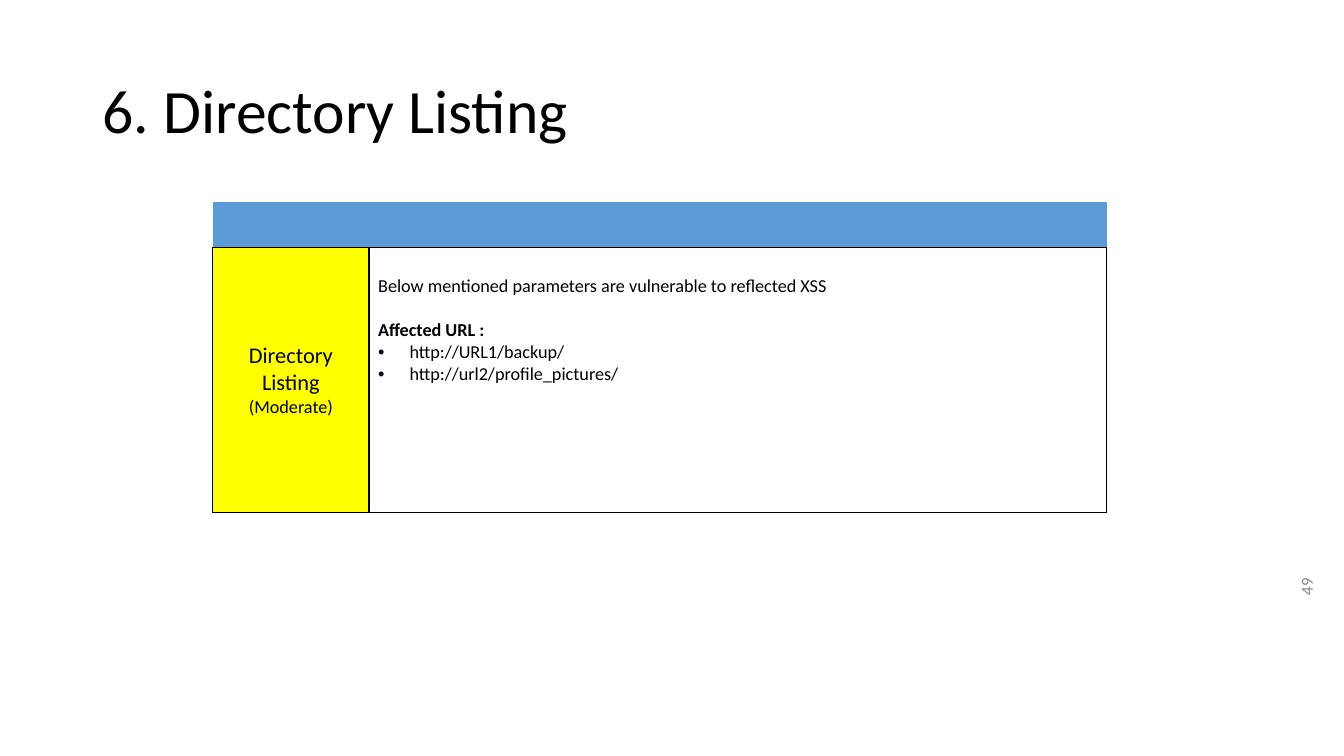
from lxml import etree
from pptx import Presentation
from pptx.dml.color import RGBColor
from pptx.enum.text import MSO_ANCHOR, PP_ALIGN
from pptx.oxml.ns import qn
from pptx.util import Cm, Pt

MIDDLE, TOP = MSO_ANCHOR.MIDDLE, MSO_ANCHOR.TOP
LEFT, CENTER, RIGHT = PP_ALIGN.LEFT, PP_ALIGN.CENTER, PP_ALIGN.RIGHT

BLACK = RGBColor(0x00, 0x00, 0x00)
GRAY = RGBColor(0x88, 0x88, 0x88)
BLUE = RGBColor(0x5B, 0x9B, 0xD5)
YELLOW = RGBColor(0xFF, 0xFF, 0x00)
WHITE = RGBColor(0xFF, 0xFF, 0xFF)
FONT = "Calibri"
BODY_SIZE = 13
PLAIN_TABLE_STYLE = "{2D5ABB26-0587-4C30-8999-92F81FD0307C}"

TITLE = "6. Directory Listing"
PAGE_NUMBER = "49"
FINDING = [("Directory Listing ", 16), ("(Moderate)", BODY_SIZE)]
SUMMARY = "Below mentioned parameters are vulnerable to reflected XSS"
URL_HEADING = "Affected URL :"
URLS = ["http://URL1/backup/", "http://url2/profile_pictures/"]

COLUMN_WIDTHS = [Cm(3.94), Cm(18.59)]
ROW_HEIGHTS = [Cm(1.14), Cm(6.68)]


def format_run(run, size, color=BLACK, bold=False):
    run.font.name = FONT
    run.font.size = Pt(size)
    run.font.color.rgb = color
    run.font.bold = bold


def add_label(slide, text, box, size, color, alignment):
    shape = slide.shapes.add_textbox(*map(Cm, box))
    frame = shape.text_frame
    frame.word_wrap = True
    frame.vertical_anchor = MIDDLE
    frame.text = text
    paragraph = frame.paragraphs[0]
    paragraph.alignment = alignment
    format_run(paragraph.runs[0], size, color)
    return shape


def style_cell(cell, fill, sides, anchor=TOP):
    cell.fill.solid()
    cell.fill.fore_color.rgb = fill
    cell.vertical_anchor = anchor
    cell.margin_left = cell.margin_right = Cm(0.23)
    properties = cell._tc.get_or_add_tcPr()
    for index, side in enumerate(sides):
        line = etree.Element(qn(f"a:ln{side}"), w=str(Pt(1)))
        solid = etree.SubElement(line, qn("a:solidFill"))
        etree.SubElement(solid, qn("a:srgbClr"), val=str(BLACK))
        properties.insert(index, line)


def add_bullet(paragraph):
    properties = paragraph._p.get_or_add_pPr()
    properties.set("marL", str(Cm(0.79)))
    properties.set("indent", str(-Cm(0.79)))
    color = etree.SubElement(properties, qn("a:buClr"))
    etree.SubElement(color, qn("a:srgbClr"), val=str(BLACK))
    etree.SubElement(properties, qn("a:buFont"), typeface="Arial")
    etree.SubElement(properties, qn("a:buChar"), char="•")


def add_finding_table(slide):
    frame = slide.shapes.add_table(
        len(ROW_HEIGHTS), len(COLUMN_WIDTHS), Cm(5.36), Cm(5.1),
        sum(COLUMN_WIDTHS), sum(ROW_HEIGHTS))
    table = frame.table
    table.first_row = table.horz_banding = False
    table._tbl.tblPr.find(qn("a:tableStyleId")).text = PLAIN_TABLE_STYLE
    for column, width in zip(table.columns, COLUMN_WIDTHS):
        column.width = width
    for row, height in zip(table.rows, ROW_HEIGHTS):
        row.height = height

    for cell in table.rows[0].cells:
        style_cell(cell, BLUE, "B")

    name_cell, detail_cell = table.rows[1].cells
    style_cell(name_cell, YELLOW, "LRTB", MIDDLE)
    paragraph = name_cell.text_frame.paragraphs[0]
    paragraph.alignment = CENTER
    for text, size in FINDING:
        run = paragraph.add_run()
        run.text = text
        format_run(run, size)

    style_cell(detail_cell, WHITE, "LRTB")
    detail_cell.margin_top = Cm(0.69)
    detail_cell.text_frame.text = "\n".join([SUMMARY, URL_HEADING, *URLS])
    for paragraph in detail_cell.text_frame.paragraphs:
        is_heading = paragraph.text == URL_HEADING
        format_run(paragraph.runs[0], BODY_SIZE, bold=is_heading)
        if is_heading:
            paragraph.space_before = Pt(15.8)
        if paragraph.text in URLS:
            add_bullet(paragraph)


def main():
    presentation = Presentation()
    presentation.slide_width = Cm(33.87)
    presentation.slide_height = Cm(19.05)
    slide = presentation.slides.add_slide(presentation.slide_layouts[6])

    number = add_label(slide, PAGE_NUMBER, (31.09, 15.52, 3.66, 1.27), 12, GRAY, RIGHT)
    number.rotation = 270
    title = add_label(slide, TITLE, (2.34, 1.02, 29.21, 3.68), 44, BLACK, LEFT)
    title.text_frame.paragraphs[0].line_spacing = 0.9
    add_finding_table(slide)

    presentation.save("out.pptx")


if __name__ == "__main__":
    main()
